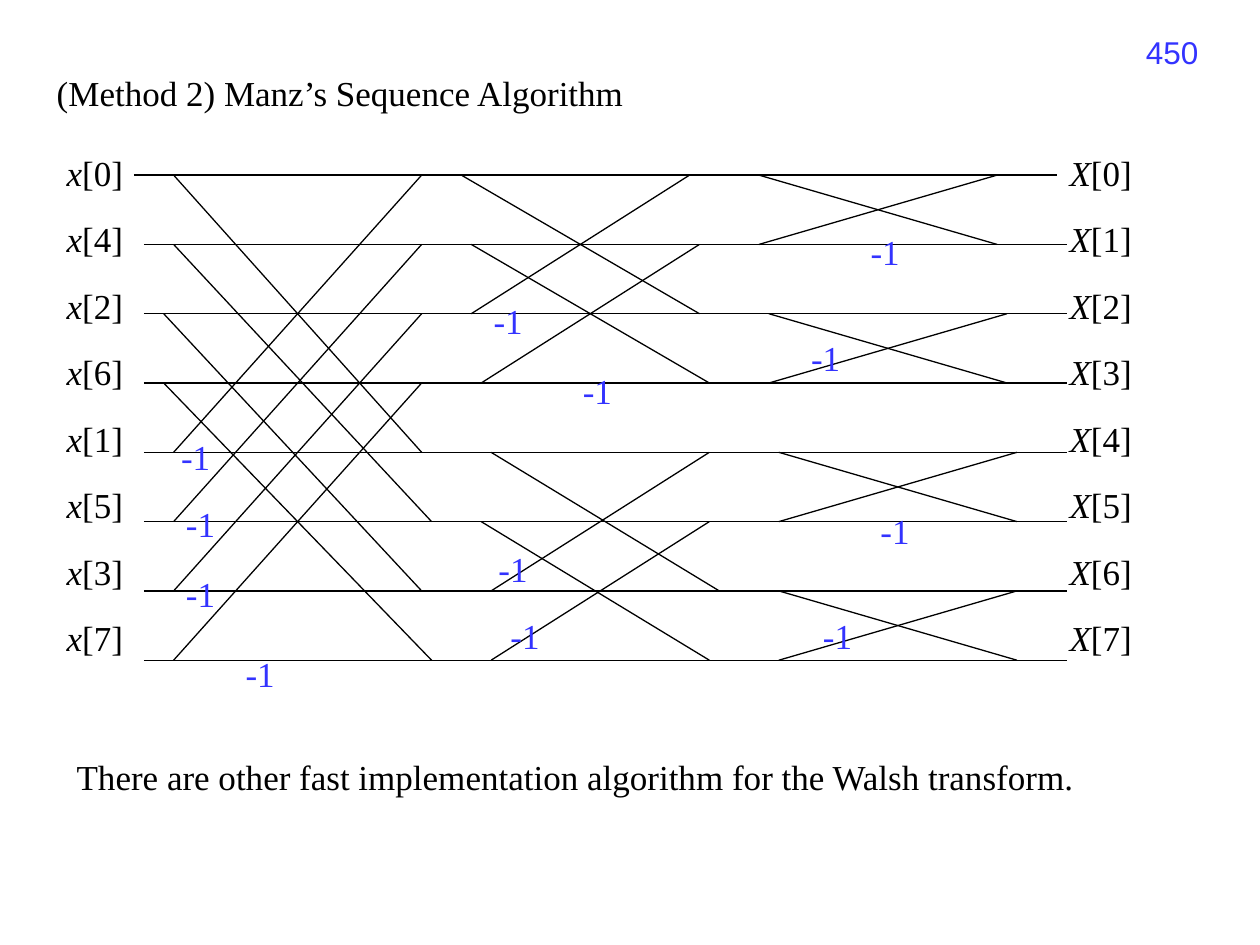
from lxml.etree import SubElement
from pptx import Presentation
from pptx.dml.color import RGBColor as RGB
from pptx.enum.shapes import MSO_CONNECTOR as CONN
from pptx.enum.text import MSO_ANCHOR as ANCHOR, MSO_AUTO_SIZE as FIT, PP_ALIGN as ALIGN
from pptx.oxml.ns import qn
from pptx.util import Inches, Pt

COLORS = {"ink": "000000", "accent": "3333FF"}
SERIF, SANS = "Times New Roman", "Arial"

prs = Presentation()
prs.slide_width, prs.slide_height = Inches(10), Inches(7.5)
s = prs.slides.add_slide(prs.slide_layouts[5])  # title only

# Grid: 127 columns across the slide, one row per signal
COLS, ROWS = 127, 8
X = [round(prs.slide_width * (c + 0.5) / COLS) for c in range(COLS)]
TOP, PITCH = Inches(1.39), Inches(0.55)
Y = [TOP + PITCH * row for row in range(ROWS)]


def add_line(col1, row1, col2, row2):
    line = s.shapes.add_connector(CONN.STRAIGHT, X[col1], Y[row1], X[col2], Y[row2])
    line.line.color.rgb = RGB.from_string(COLORS["ink"])
    line.line.width = Pt(0.75)
    SubElement(line._element.spPr, qn("a:effectLst"))


def write(sp, box, lines, color="ink", size=20, face=SERIF, align=ALIGN.LEFT, gap=0):
    """Place a text shape; each line is (italic part, upright part)."""
    sp.left, sp.top, sp.width, sp.height = (round(v) for v in box)
    tf = sp.text_frame
    tf.word_wrap, tf.auto_size = True, FIT.NONE
    tf.vertical_anchor = ANCHOR.TOP
    for i, (slanted, upright) in enumerate(lines):
        p = tf.add_paragraph() if i else tf.paragraphs[0]
        p.alignment = align
        p.space_before = Pt(gap if i else 0)
        p.font.size, p.font.name = Pt(size), face
        p.font.color.rgb = RGB.from_string(COLORS[color])
        if slanted:
            r = p.add_run()
            r.text, r.font.italic = slanted, True
        p.add_run().text = upright


# Title and page number
write(s.shapes.title, (Inches(0.35), Inches(0.52), Inches(4.72), Inches(0.43)),
      [("", "(Method 2) Manz’s Sequence Algorithm")])
s.shapes.title.text_frame.word_wrap = False
write(s.shapes.add_textbox(0, 0, 0, 0), (Inches(7.28), Inches(0.21), Inches(2.33), Inches(0.52)),
      [("", "450")], "accent", 18, SANS, ALIGN.RIGHT)

# Signal lines, the first set one column to the left
for row in range(ROWS):
    shift = 1 if row == 0 else 0
    add_line(14 - shift, row, 107 - shift, row)

# Butterfly stages: row span, then (top row, falling columns, rising columns)
STAGES = [
    (4, [(0, (17, 42), (17, 42)), (1, (17, 43), (17, 42)),
         (2, (16, 42), (17, 42)), (3, (16, 43), (17, 42))]),
    (2, [(0, (46, 70), (47, 69)), (1, (47, 71), (48, 70)),
         (4, (49, 72), (49, 71)), (5, (48, 71), (49, 71))]),
    (1, [(0, (76, 100), (76, 100)), (2, (77, 101), (77, 101)),
         (4, (78, 102), (78, 102)), (6, (78, 102), (78, 102))]),
]
for span, crossings in STAGES:
    for row, fall, rise in crossings:
        add_line(fall[0], row, fall[1], row + span)
        add_line(rise[0], row + span, rise[1], row)

# Sign factors: left edge in columns, top edge in rows
SIGNS = [
    (23.5, 6.8), (17.5, 5.64), (17.5, 4.64), (17, 3.67),
    (48.5, 1.71), (57.5, 2.71), (50.2, 6.25), (49, 5.29),
    (86.5, 0.71), (80.5, 2.24), (87.5, 4.73), (81.7, 6.25),
]
for col, row in SIGNS:
    box = (prs.slide_width * col / COLS, TOP + PITCH * row, Inches(0.47), Inches(0.43))
    write(s.shapes.add_textbox(0, 0, 0, 0), box, [("", "-1")], "accent")

# Input and output labels
for left, name, order in [(0.43, "x", (0, 4, 2, 6, 1, 5, 3, 7)), (8.39, "X", range(ROWS))]:
    write(s.shapes.add_textbox(0, 0, 0, 0), (Inches(left), Inches(1.15), Inches(0.71), Inches(4.29)),
          [(name, f"[{n}]") for n in order], gap=14)

# Closing remark
write(s.shapes.add_textbox(0, 0, 0, 0), (Inches(0.51), Inches(5.95), Inches(8.27), Inches(0.43)),
      [("", "There are other fast implementation algorithm for the Walsh transform.")])

prs.save("out.pptx")
